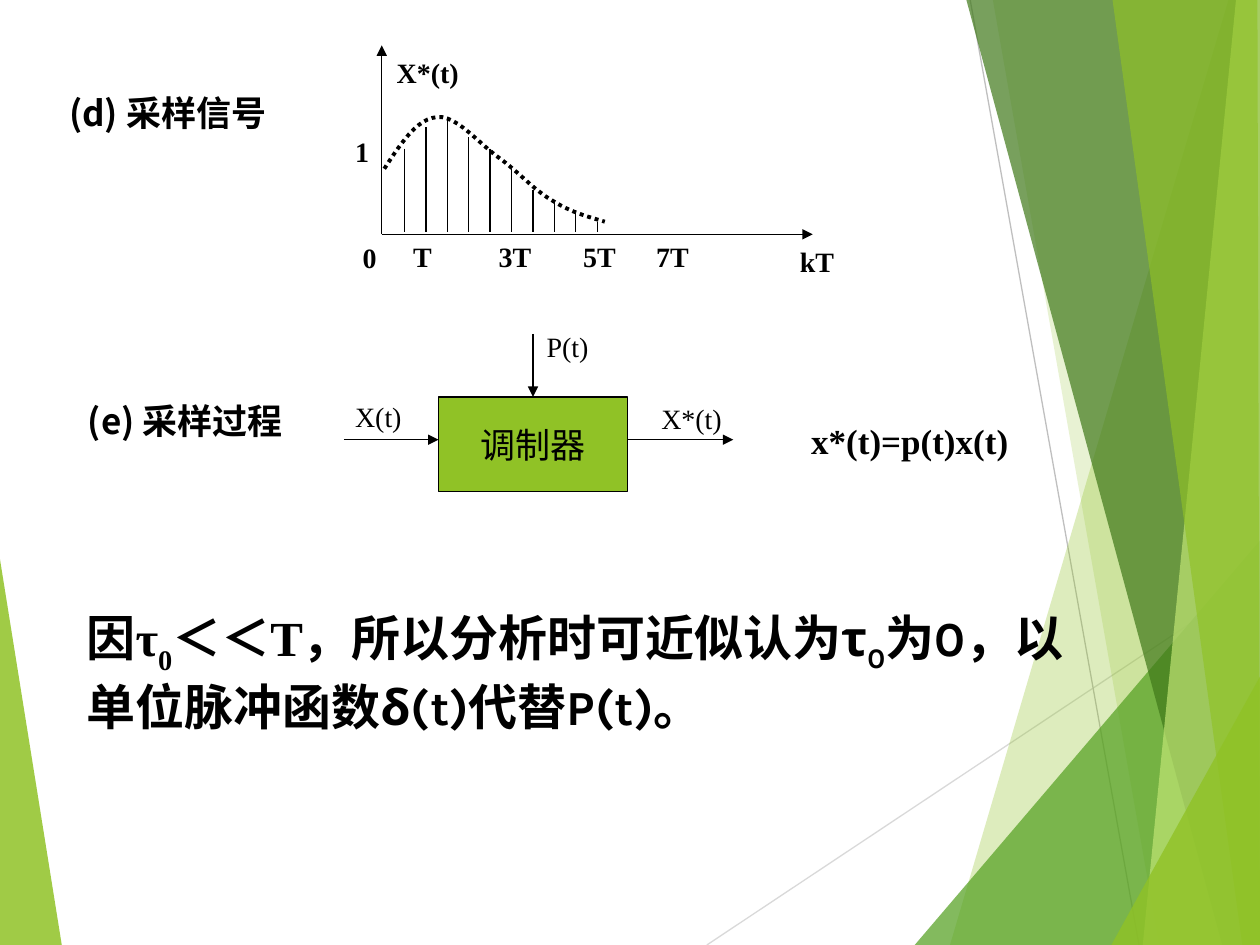
"""Build a slide on the sampled signal and the sampling process."""
import pptx
import pptx.util
import pptx.dml.color
import pptx.enum.dml
import pptx.enum.shapes
import pptx.enum.text
import pptx.oxml.ns
from lxml import etree

Inches, Pt = pptx.util.Inches, pptx.util.Pt
RGB = pptx.dml.color.RGBColor
ANCHOR = pptx.enum.text.MSO_ANCHOR
ALIGN = pptx.enum.text.PP_ALIGN
qn = pptx.oxml.ns.qn

BLACK = RGB(0, 0, 0)
GREEN = RGB(0x90, 0xC2, 0x26)
MID_GREEN = RGB(0x54, 0xA0, 0x21)
DARK_GREEN = RGB(0x3F, 0x78, 0x19)
PALE_GREEN = RGB(0xC0, 0xE4, 0x74)
GREY = RGB(0xBF, 0xBF, 0xBF)
LIGHT_GREY = RGB(0xD9, 0xD9, 0xD9)

SERIF, SANS, BODY = "Times New Roman", "Noto Sans CJK SC", "Karla"

LEFT_FACET = ([(0, 4.44), (0.49, 7.5), (0, 7.5)], GREEN, 85)
RIGHT_FACETS = [
    ([(9.75, 0), (7.54, 7.5), (10, 7.5), (10, 0)], GREEN, 30),
    ([(7.88, 0), (9.2, 7.5), (10, 7.5), (10, 0)], GREEN, 20),
    ([(7.26, 7.5), (10, 4.29), (10, 7.5)], MID_GREEN, 72),
    ([(7.67, 0), (9.7, 7.5), (10, 7.5), (10, 0)], DARK_GREEN, 70),
    ([(9.81, 0), (9.07, 7.5), (10, 7.5), (10, 0)], PALE_GREEN, 70),
    ([(8.83, 0), (9.86, 7.5), (10, 7.5), (9.98, 0)], GREEN, 65),
    ([(8.82, 7.5), (10, 5.37), (10, 7.5)], GREEN, 80),
]
FACET_LINES = [
    ((5.61, 7.5), (10, 4.58), LIGHT_GREY),
    ((7.7, 0), (9.04, 7.5), GREY),
]

CURVE_START = (3.05, 1.34)
CURVE = [
    ((3.18, 1.14), (3.31, 0.94), (3.47, 0.93)),
    ((3.62, 0.91), (3.81, 1.15), (3.97, 1.26)),
    ((4.12, 1.37), (4.24, 1.51), (4.38, 1.59)),
    ((4.52, 1.68), (4.66, 1.72), (4.8, 1.76)),
]
CURVE_STEPS = 12
STEM_LEFT, STEM_GAP, STEM_BOTTOM = 3.21, 0.17, 1.84
STEM_TOPS = [1.18, 1.01, 0.93, 1.09, 1.18, 1.34, 1.51, 1.59, 1.68, 1.76]

ARROWS = [
    ((3.03, 1.86), (3.03, 0.36)),
    ((3.03, 1.86), (6.45, 1.86)),
    ((4.98, 3.49), (5.82, 3.49)),
    ((2.73, 3.49), (3.48, 3.49)),
    ((4.23, 2.65), (4.23, 3.15)),
]
MODULATOR = ("调制器", 3.48, 3.15, 1.5, 0.75)

AXIS = dict(size=Pt(16), name=SERIF, bold=True)
SIGNAL = dict(size=Pt(16), name=SERIF, bold=False)
CAPTION = dict(size=Pt(20), name=SANS, bold=True)
FORMULA = dict(size=Pt(20), name=SERIF, bold=True)
BOX_TEXT = dict(size=Pt(20), name=SERIF, bold=False)

LABELS = [
    ("X*(t)", 3.05, 0.39, 0.69, AXIS),
    ("kT", 6.25, 1.89, 0.47, AXIS),
    ("0", 2.78, 1.86, 0.31, AXIS),
    ("T", 3.18, 1.85, 0.35, AXIS),
    ("3T", 3.86, 1.85, 0.46, AXIS),
    ("5T", 4.53, 1.85, 0.46, AXIS),
    ("7T", 5.11, 1.85, 0.46, AXIS),
    ("1", 2.72, 1.02, 0.31, AXIS),
    ("X(t)", 2.72, 3.12, 0.57, SIGNAL),
    ("X*(t)", 5.15, 3.14, 0.68, SIGNAL),
    ("P(t)", 4.24, 2.57, 0.53, SIGNAL),
    ("x*(t)=p(t)x(t)", 6.34, 3.28, 1.8, FORMULA),
]
CAPTIONS = [("(d) 采样信号", 0.45, 0.68, 1.81), ("(e) 采样过程", 0.6, 3.12, 1.8)]
CONCLUSION = [
    ("因", BODY, 0), ("τ", SERIF, 0), ("0", SERIF, -30), ("＜＜T", SERIF, 0),
    ("，所以分析时可近似认为τ", BODY, 0), ("0", BODY, -25),
    ("为0，以单位脉冲函数δ(t)代替P(t)。", BODY, 0),
]


def add_run(p, text, fmt, baseline=0):
    r = p.add_run()
    r.text = text
    for key, value in fmt.items():
        setattr(r.font, key, value)
    r.font.color.rgb = BLACK
    etree.SubElement(r.font._element, qn("a:ea")).set("typeface", SANS)
    if baseline:
        r.font._element.set("baseline", str(baseline * 1000))


def add_text(s, runs, x, y, w, h, wrap=False):
    tf = s.shapes.add_textbox(*map(Inches, (x, y, w, h))).text_frame
    tf.word_wrap = wrap
    for run in runs:
        add_run(tf.paragraphs[0], *run)


def add_line(s, start, end, color=BLACK, arrow=False):
    sp = s.shapes.add_connector(pptx.enum.shapes.MSO_CONNECTOR.STRAIGHT,
                                *map(Inches, start + end))
    sp.line.color.rgb = color
    sp.line.width = Pt(0.75)
    if arrow:
        ln = sp.line._get_or_add_ln()
        etree.SubElement(ln, qn("a:tailEnd")).set("type", "triangle")
    etree.SubElement(sp._element.spPr, qn("a:effectLst"))


def add_outline(s, points, close):
    start, *rest = [(Inches(x), Inches(y)) for x, y in points]
    fb = s.shapes.build_freeform(*start)
    fb.add_line_segments(rest, close=close)
    sp = fb.convert_to_shape()
    sp.shadow.inherit = False
    return sp


def add_facet(s, points, color, opacity):
    sp = add_outline(s, points, True)
    sp.fill.solid()
    sp.fill.fore_color.rgb = color
    clr = sp._element.spPr.find(qn("a:solidFill"))[0]
    etree.SubElement(clr, qn("a:alpha")).set("val", str(opacity * 1000))
    sp.line.fill.background()


def curve_points():
    points = [CURVE_START]
    for b, c, d in CURVE:
        a = points[-1]
        for i in range(1, CURVE_STEPS + 1):
            t = i / CURVE_STEPS
            u = 1 - t
            weights = (u ** 3, 3 * u * u * t, 3 * u * t * t, t ** 3)
            points.append(tuple(sum(k * v for k, v in zip(weights, axis))
                                for axis in zip(a, b, c, d)))
    return points


def add_modulator(s, text, *box):
    sp = s.shapes.add_shape(pptx.enum.shapes.MSO_SHAPE.RECTANGLE, *map(Inches, box))
    sp.shadow.inherit = False
    sp.fill.solid()
    sp.fill.fore_color.rgb = GREEN
    sp.line.color.rgb = BLACK
    sp.line.width = Pt(0.75)
    tf = sp.text_frame
    tf.vertical_anchor = ANCHOR.MIDDLE
    tf.paragraphs[0].alignment = ALIGN.CENTER
    add_run(tf.paragraphs[0], text, BOX_TEXT)


def main():
    prs = pptx.Presentation()
    prs.slide_width, prs.slide_height = Inches(10), Inches(7.5)
    s = prs.slides.add_slide(prs.slide_layouts[6])
    add_facet(s, *LEFT_FACET)
    for line in FACET_LINES:
        add_line(s, *line)
    for facet in RIGHT_FACETS:
        add_facet(s, *facet)
    curve = add_outline(s, curve_points(), False)
    curve.fill.background()
    curve.line.color.rgb = BLACK
    curve.line.width = Pt(2.25)
    curve.line.dash_style = pptx.enum.dml.MSO_LINE.ROUND_DOT
    for i, top in enumerate(STEM_TOPS):
        x = STEM_LEFT + i * STEM_GAP
        add_line(s, (x, top), (x, STEM_BOTTOM))
    add_modulator(s, *MODULATOR)
    for start, end in ARROWS:
        add_line(s, start, end, arrow=True)
    for text, x, y, w, fmt in LABELS:
        add_text(s, [(text, fmt)], x, y, w, 0.44 if fmt is FORMULA else 0.37)
    for text, x, y, w in CAPTIONS:
        add_text(s, [(text, CAPTION)], x, y, w, 0.44, wrap=True)
    runs = [(text, dict(size=Pt(28), name=name, bold=True), base)
            for text, name, base in CONCLUSION]
    add_text(s, runs, 0.59, 4.77, 8.11, 1.59, wrap=True)
    prs.save("out.pptx")


if __name__ == "__main__":
    main()
